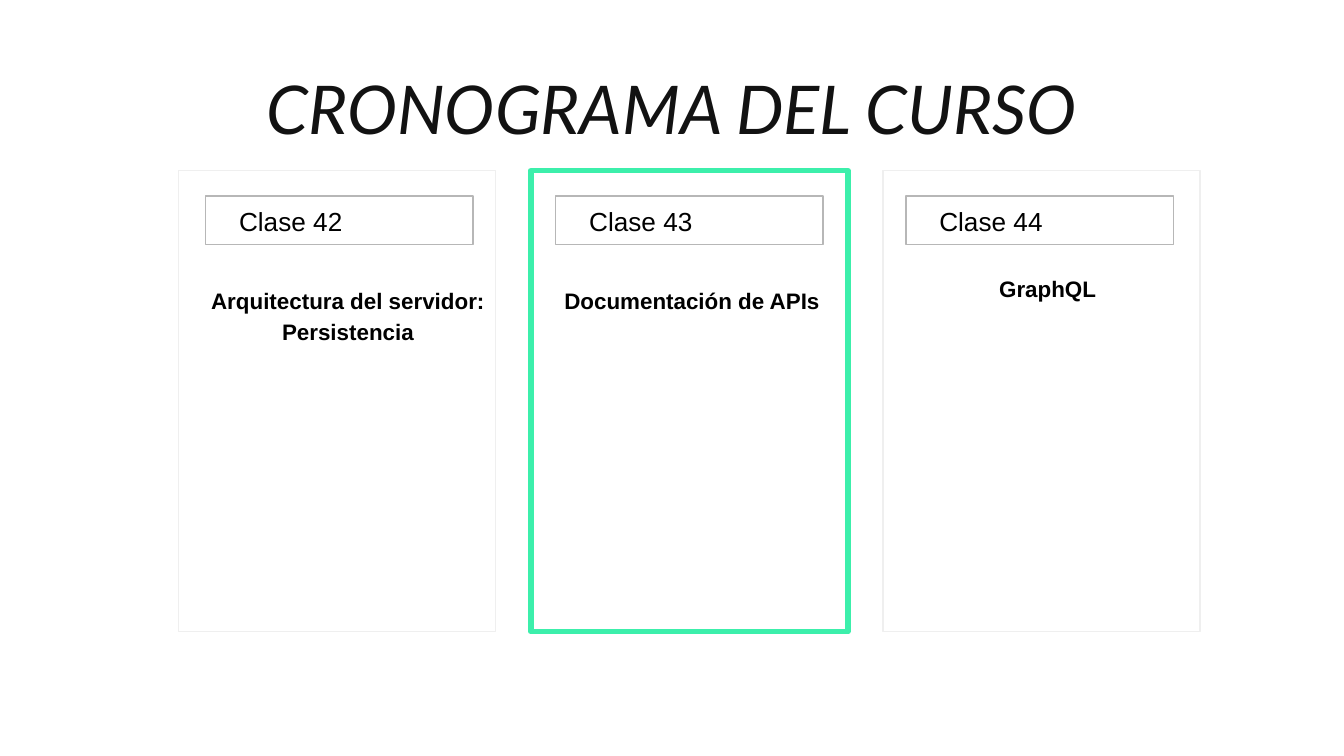
import pptx
import pptx.dml.color
import pptx.enum.shapes
import pptx.enum.text
import pptx.util

# Widescreen slide, in inches
WIDTH = 10
HEIGHT = WIDTH * 9 / 16

# Column grid: first left edge and step, in inches
CARD_LEFT, CARD_STEP = 1.33, 2.62
TAG_LEFT, LABEL_LEFT, TAG_STEP = 1.53, 1.68, 5.21 / 2

# Label, topic, topic box (left, top, width), frame colour, frame weight
CLASSES = [
    ("Clase 42", "Arquitectura del servidor: Persistencia",
     (1.46, 2.01, 2.26), "EFEFEF", 0.75),
    ("Clase 43", "Documentación de APIs",
     (4.05, 2.01, 2.2), "3CEFAB", 3),
    ("Clase 44", "GraphQL",
     (6.72, 1.92, 2.15), "EFEFEF", 0.75),
]


def color(value):
    return pptx.dml.color.RGBColor.from_string(value)


def inches(*lengths):
    return [pptx.util.Inches(length) for length in lengths]


def write_text(shape, text, size, font="Arial", fill="000000", bold=False,
               italic=False, centered=False, spacing=1.0, middle=False):
    frame = shape.text_frame
    frame.word_wrap = True
    frame.auto_size = pptx.enum.text.MSO_AUTO_SIZE.NONE
    anchor = pptx.enum.text.MSO_ANCHOR
    frame.vertical_anchor = anchor.MIDDLE if middle else anchor.TOP
    frame.margin_left = frame.margin_right = pptx.util.Inches(0.1)
    frame.margin_top = frame.margin_bottom = pptx.util.Inches(0.1)
    paragraph = frame.paragraphs[0]
    align = pptx.enum.text.PP_ALIGN
    paragraph.alignment = align.CENTER if centered else align.LEFT
    paragraph.line_spacing = spacing
    paragraph.space_before = pptx.util.Pt(0)
    run = paragraph.add_run()
    run.text = text
    run.font.name = font
    run.font.size = pptx.util.Pt(size)
    run.font.bold = bold
    run.font.italic = italic
    run.font.color.rgb = color(fill)


def add_frame(slide, box, line, weight=0.75):
    shape = slide.shapes.add_shape(
        pptx.enum.shapes.MSO_SHAPE.RECTANGLE, *inches(*box))
    shape.shadow.inherit = False
    shape.fill.background()
    shape.line.color.rgb = color(line)
    shape.line.width = pptx.util.Pt(weight)


def add_text(slide, box, text, **style):
    write_text(slide.shapes.add_textbox(*inches(*box)), text, **style)


def add_title(slide, text):
    title = slide.shapes.title
    title.left, title.top, title.width, title.height = inches(
        1.53, 0.26, 6.94, 1.08)
    write_text(title, text, size=36, font="Lato", fill="121212",
               italic=True, centered=True, middle=True)


def add_class(slide, column, label, topic, topic_box, line, weight):
    # Card outline
    add_frame(slide, (CARD_LEFT + column * CARD_STEP, 1.27, 2.36, 3.43),
              line, weight)
    # Class number
    shift = column * TAG_STEP
    add_frame(slide, (TAG_LEFT + shift, 1.46, 1.99, 0.36), "B7B7B7")
    add_text(slide, (LABEL_LEFT + shift, 1.43, 1.35, 0.4), label, size=14)
    # Class topic
    add_text(slide, (*topic_box, 0.46), topic, size=12, bold=True,
             centered=True, spacing=1.15)


def main():
    presentation = pptx.Presentation()
    presentation.slide_width, presentation.slide_height = inches(WIDTH, HEIGHT)
    slide = presentation.slides.add_slide(presentation.slide_layouts[5])
    slide.background.fill.solid()
    slide.background.fill.fore_color.rgb = color("FFFFFF")

    add_title(slide, "CRONOGRAMA DEL CURSO")
    for column, details in enumerate(CLASSES):
        add_class(slide, column, *details)

    presentation.save("out.pptx")


if __name__ == "__main__":
    main()
